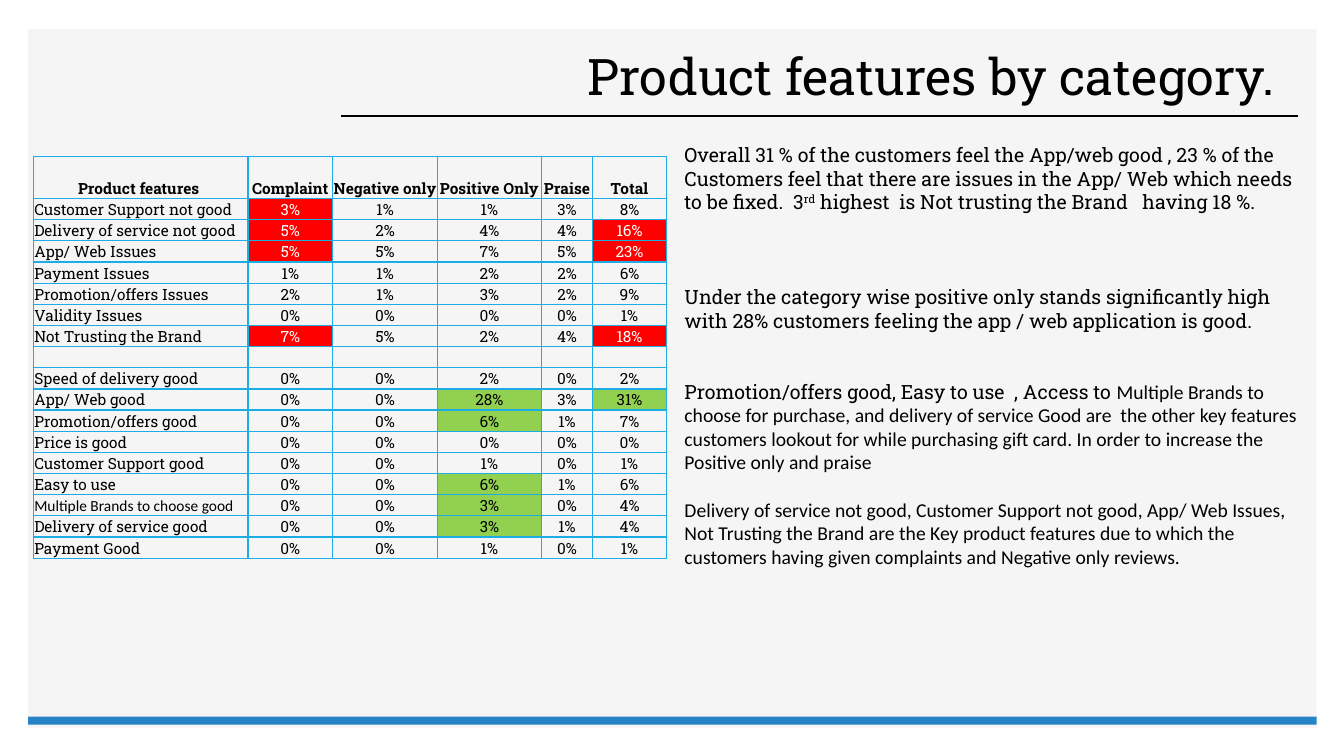
from lxml.etree import SubElement
from pptx import Presentation
from pptx.dml.color import RGBColor
from pptx.enum.shapes import MSO_CONNECTOR, MSO_SHAPE
from pptx.enum.text import MSO_ANCHOR, PP_ALIGN
from pptx.oxml.ns import qn
from pptx.util import Inches, Pt

BLACK = RGBColor(0x00, 0x00, 0x00)
WHITE = RGBColor(0xFF, 0xFF, 0xFF)
PALE = RGBColor(0xF5, 0xF5, 0xF5)
BLUE = RGBColor(0x26, 0x83, 0xC6)
CYAN = RGBColor(0x1C, 0xAD, 0xE4)
RED = RGBColor(0xFF, 0x00, 0x00)
GREEN = RGBColor(0x92, 0xD0, 0x50)
SLAB, SANS = "Roboto Slab", "Calibri"

HEADS = ["Product features ", "Complaint", "Negative only",
         "Positive Only", "Praise", "Total"]
WIDTHS = [2.13, 0.84, 1.04, 1.03, 0.51, 0.73]
ISSUES = [
    ("Customer Support not good", 3, 1, 1, 3, 8),
    ("Delivery of service not good", 5, 2, 4, 4, 16),
    ("App/ Web Issues", 5, 5, 7, 5, 23),
    ("Payment Issues", 1, 1, 2, 2, 6),
    ("Promotion/offers Issues", 2, 1, 3, 2, 9),
    ("Validity Issues", 0, 0, 0, 0, 1),
    ("Not Trusting the Brand", 7, 5, 2, 4, 18),
]
MERITS = [
    ("Speed of delivery good", 0, 0, 2, 0, 2),
    ("App/ Web good", 0, 0, 28, 3, 31),
    ("Promotion/offers good", 0, 0, 6, 1, 7),
    ("Price is good", 0, 0, 0, 0, 0),
    ("Customer Support good", 0, 0, 1, 0, 1),
    ("Easy to use", 0, 0, 6, 1, 6),
    ("Multiple Brands to choose good", 0, 0, 3, 0, 4),
    ("Delivery of service good", 0, 0, 3, 1, 4),
    ("Payment Good", 0, 0, 1, 0, 1),
]
# Lowest percentage that is highlighted, by column
ISSUE_MIN = {1: 3, 5: 16}
MERIT_MIN = {3: 3, 5: 16}

# Space before in points, then runs of (text, font, baseline)
NOTES = [
    (0, [("Overall 31 % of the customers feel the App/web good , 23 % of the "
          "Customers feel that there are issues in the App/ Web which needs "
          "to be fixed.  3", SLAB, 0),
         ("rd", SLAB, 30000),
         (" highest  is Not trusting the Brand   having 18 %.", SLAB, 0)]),
    (51, [("Under the category wise positive only stands significantly high "
           "with 28% customers feeling the app / web application is good.",
           SLAB, 0)]),
    (34, [("Promotion/offers good, Easy to use  , Access to ", SLAB, 0),
          ("Multiple Brands to choose for purchase, and delivery of service "
           "Good are  the other key features customers lookout for while "
           "purchasing gift card. In order to increase the Positive only and "
           "praise", SANS, 0)]),
    (17, [("Delivery of service not good, Customer Support not good, App/ Web "
           "Issues, Not Trusting the Brand are the Key product features due "
           "to which the customers having given complaints and Negative only "
           "reviews.", SANS, 0)]),
]


def add_rect(slide, left, top, width, height, color):
    rect = slide.shapes.add_shape(MSO_SHAPE.RECTANGLE, Inches(left),
                                  Inches(top), Inches(width), Inches(height))
    rect.shadow.inherit = False
    rect.fill.solid()
    rect.fill.fore_color.rgb = color
    rect.line.fill.background()


def add_rule(slide, left, right, top):
    rule = slide.shapes.add_connector(MSO_CONNECTOR.STRAIGHT, Inches(left),
                                      Inches(top), Inches(right), Inches(top))
    rule.line.color.rgb = BLACK
    rule.line.width = Pt(1)
    SubElement(rule._element.spPr, qn("a:effectLst"))


def add_run(para, text, size, face=SLAB, color=BLACK, bold=False):
    run = para.add_run()
    run.text = text
    for name, value in {"size": Pt(size), "name": face, "bold": bold}.items():
        setattr(run.font, name, value)
    run.font.color.rgb = color
    return run


def add_box(slide, left, top, width, height):
    box = slide.shapes.add_textbox(Inches(left), Inches(top),
                                   Inches(width), Inches(height))
    box.text_frame.word_wrap = True
    return box.text_frame


def add_title(slide, text):
    frame = add_box(slide, 3.7, 0.42, 9.17, 0.73)
    frame.vertical_anchor = MSO_ANCHOR.MIDDLE
    para = frame.paragraphs[0]
    para.alignment = PP_ALIGN.RIGHT
    para.line_spacing = 0.9
    add_run(para, text, 36)


def add_notes(slide):
    frame = add_box(slide, 6.69, 1.37, 6.38, 6.1)
    for index, (space, runs) in enumerate(NOTES):
        para = frame.add_paragraph() if index else frame.paragraphs[0]
        if space:
            para.space_before = Pt(space)
        for text, face, base in runs:
            run = add_run(para, text, 14, face)
            if base:
                run.font._element.set("baseline", str(base))


def set_edges(cell):
    props = cell._tc.get_or_add_tcPr()
    for index, side in enumerate(("lnL", "lnR", "lnT", "lnB")):
        edge = props.makeelement(qn(f"a:{side}"), {"w": str(Pt(1))})
        fill = SubElement(edge, qn("a:solidFill"))
        SubElement(fill, qn("a:srgbClr"), val=str(CYAN))
        props.insert(index, edge)


def fill_cell(cell, text, centred, fill=None, **style):
    format_values = {"margin_left": Inches(0.01), "margin_right": Inches(0.01),
                     "margin_top": Inches(0.01), "margin_bottom": 0,
                     "vertical_anchor": MSO_ANCHOR.BOTTOM}
    for name, value in format_values.items():
        setattr(cell, name, value)
    if fill is None:
        cell.fill.background()
    else:
        cell.fill.solid()
        cell.fill.fore_color.rgb = fill
    set_edges(cell)
    para = cell.text_frame.paragraphs[0]
    para.alignment = PP_ALIGN.CENTER if centred else PP_ALIGN.LEFT
    if text:
        add_run(para, text, 11, **style)
    else:
        SubElement(para._p, qn("a:endParaRPr"), sz="1100")


def fill_group(table, first, rows, limits, fill, color):
    """Write rows from row number first on, marking values at their limit."""
    for row, (label, *values) in enumerate(rows, first):
        face = SANS if label.startswith("Multiple") else SLAB
        fill_cell(table.cell(row, 0), label, False, face=face)
        for col, value in enumerate(values, 1):
            hot = col in limits and value >= limits[col]
            fill_cell(table.cell(row, col), f"{value}%", True,
                      fill if hot else None, color=color if hot else BLACK)


def add_grid(slide):
    gap = len(ISSUES) + 1
    count = gap + 1 + len(MERITS)
    table = slide.shapes.add_table(count, len(HEADS), Inches(0.33),
                                   Inches(1.55), Inches(sum(WIDTHS)),
                                   Inches(0.21 * (count + 1))).table
    table.first_row = table.horz_banding = False
    for column, width in zip(table.columns, WIDTHS):
        column.width = Inches(width)
    for index, row in enumerate(table.rows):
        row.height = Inches(0.21 if index else 0.42)
    for col, head in enumerate(HEADS):
        fill_cell(table.cell(0, col), head, True, bold=True)
        fill_cell(table.cell(gap, col), "", True)
    fill_group(table, 1, ISSUES, ISSUE_MIN, RED, WHITE)
    fill_group(table, gap + 1, MERITS, MERIT_MIN, GREEN, BLACK)


def main():
    deck = Presentation()
    deck.slide_width, deck.slide_height = Inches(13.33), Inches(7.5)
    slide = deck.slides.add_slide(deck.slide_layouts[6])
    add_rect(slide, 0.28, 0.29, 12.78, 6.93, PALE)
    add_rule(slide, 3.38, 12.87, 1.15)
    add_rect(slide, 0.28, 7.11, 12.78, 0.08, BLUE)
    add_title(slide, "Product features by category. ")
    add_grid(slide)
    add_notes(slide)
    deck.save("out.pptx")


if __name__ == "__main__":
    main()
